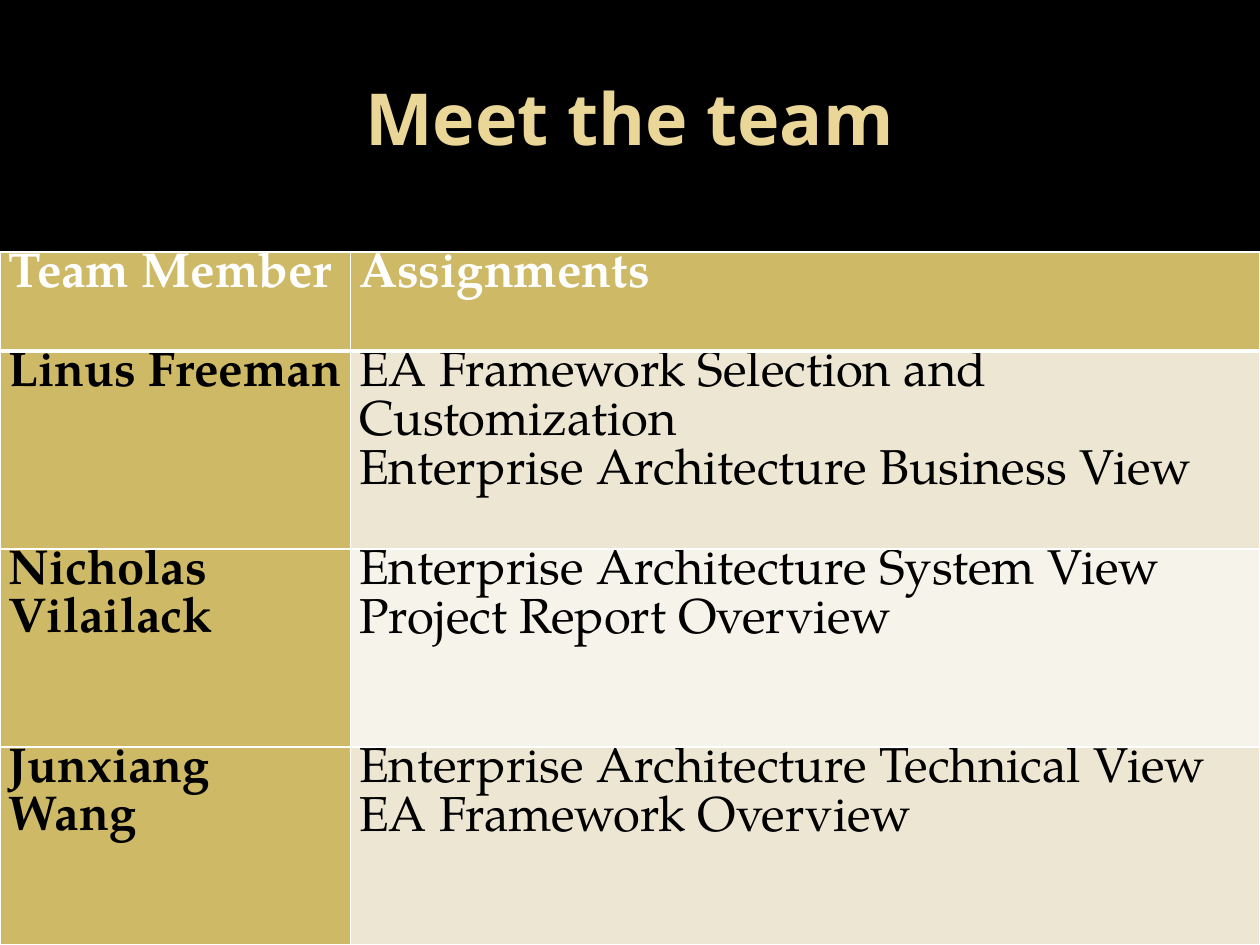
"""Build the team slide: a title above a table of members and assignments."""
import lxml.etree
import pptx
import pptx.dml.color
import pptx.enum.text
import pptx.oxml.ns
import pptx.util

BLACK = pptx.dml.color.RGBColor(0x00, 0x00, 0x00)
WHITE = pptx.dml.color.RGBColor(0xFF, 0xFF, 0xFF)
PALE_GOLD = pptx.dml.color.RGBColor(0xEA, 0xD6, 0x96)
GOLD = pptx.dml.color.RGBColor(0xCE, 0xB9, 0x66)
SAND = pptx.dml.color.RGBColor(0xED, 0xE6, 0xD3)
CREAM = pptx.dml.color.RGBColor(0xF6, 0xF3, 0xEA)

TEAM_ROWS = [
    ("Team Member", "Assignments"),
    ("Linus Freeman",
     "EA Framework Selection and Customization\nEnterprise Architecture Business View"),
    ("Nicholas Vilailack",
     "Enterprise Architecture System View\vProject Report Overview"),
    ("Junxiang Wang",
     "Enterprise Architecture Technical View\nEA Framework Overview"),
]


def format_text(frame, font_name, size, color, bold):
    for para in frame.paragraphs:
        for span in para.runs:
            span.font.name = font_name
            span.font.size = pptx.util.Pt(size)
            span.font.color.rgb = color
            span.font.bold = bold


def add_border(cell, side, width):
    properties = cell._tc.get_or_add_tcPr()
    line = lxml.etree.SubElement(properties, pptx.oxml.ns.qn(f"a:ln{side}"),
                                 w=str(pptx.util.Pt(width)))
    fill = lxml.etree.SubElement(line, pptx.oxml.ns.qn("a:solidFill"))
    lxml.etree.SubElement(fill, pptx.oxml.ns.qn("a:srgbClr"), val=str(WHITE))


deck = pptx.Presentation()
deck.slide_width = pptx.util.Inches(10)
deck.slide_height = pptx.util.Inches(7.5)
page = deck.slides.add_slide(deck.slide_layouts[6])
page.background.fill.solid()
page.background.fill.fore_color.rgb = BLACK

title_box = page.shapes.add_textbox(
    int(deck.slide_width * 0.05), int(deck.slide_height * 0.04),
    int(deck.slide_width * 0.9), pptx.util.Inches(1.25))
title = title_box.text_frame
title.word_wrap = True
title.vertical_anchor = pptx.enum.text.MSO_ANCHOR.MIDDLE
title.text = "Meet the team"
title.paragraphs[0].alignment = pptx.enum.text.PP_ALIGN.CENTER
format_text(title, "Open Sans", 41, PALE_GOLD, True)

table_top = pptx.util.Inches(2)
table_height = deck.slide_height - table_top
table = page.shapes.add_table(len(TEAM_ROWS), 2, 0, table_top,
                              deck.slide_width, table_height).table
table.columns[0].width = pptx.util.Inches(2.78)
table.columns[1].width = deck.slide_width - table.columns[0].width

for row_index, row_texts in enumerate(TEAM_ROWS):
    is_header = row_index == 0
    table.rows[row_index].height = table_height * (1 if is_header else 2) // 7
    for column_index, text in enumerate(row_texts):
        cell = table.cell(row_index, column_index)
        cell.margin_left = cell.margin_right = pptx.util.Inches(0.07)
        cell.margin_top = cell.margin_bottom = 0
        cell.text_frame.text = text
        is_label = is_header or column_index == 0
        format_text(cell.text_frame, "TeX Gyre Pagella", 28,
                    WHITE if is_header else BLACK, is_label)
        add_border(cell, "L", 1)
        add_border(cell, "R", 1)
        add_border(cell, "T", 3 if row_index == 1 else 1)
        add_border(cell, "B", 3 if is_header else 1)
        cell.fill.solid()
        band = SAND if row_index % 2 else CREAM
        cell.fill.fore_color.rgb = GOLD if is_label else band

deck.save("out.pptx")
